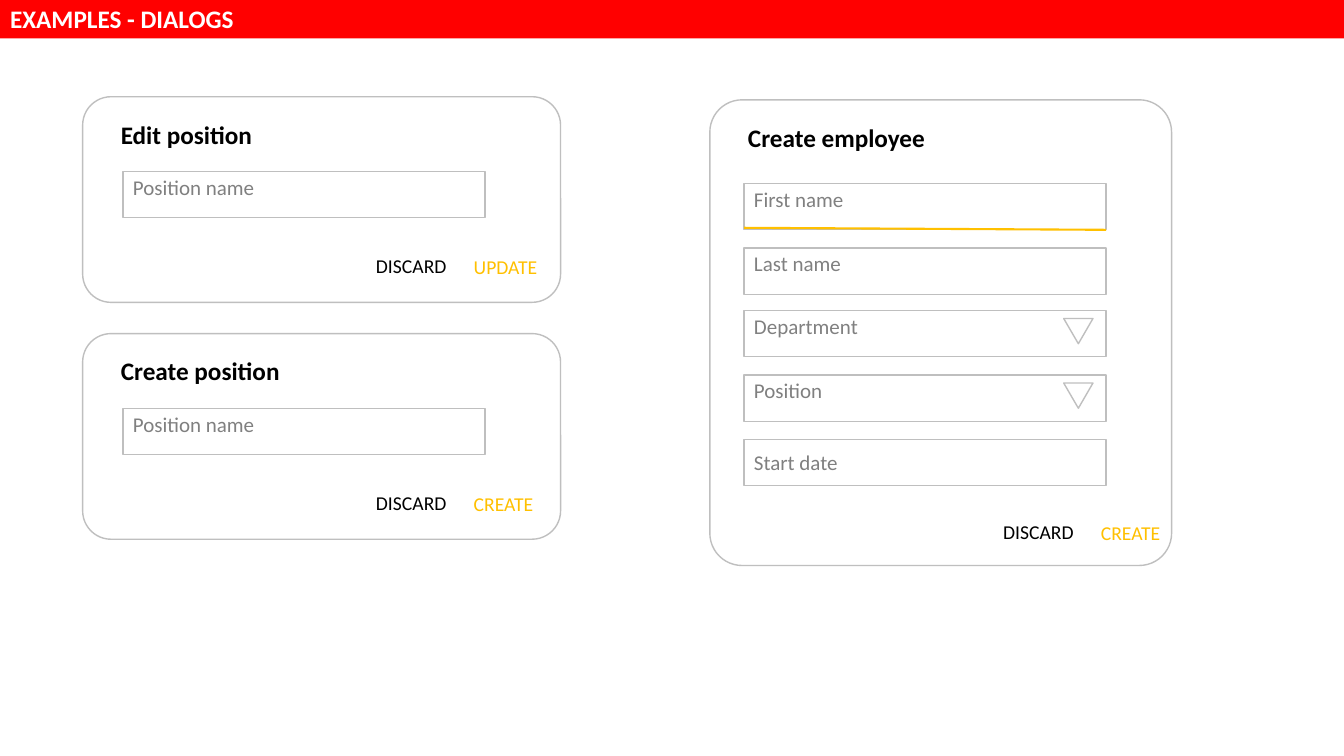
from collections import namedtuple

from lxml import etree
from pptx import Presentation
from pptx.dml.color import RGBColor
from pptx.enum.shapes import MSO_CONNECTOR, MSO_SHAPE
from pptx.enum.text import MSO_ANCHOR, MSO_AUTO_SIZE, PP_ALIGN
from pptx.oxml.ns import qn
from pptx.util import Inches, Pt

RED = RGBColor(0xFF, 0x00, 0x00)
AMBER = RGBColor(0xFF, 0xC0, 0x00)
OUTLINE_GRAY = RGBColor(0xBF, 0xBF, 0xBF)
LABEL_GRAY = RGBColor(0x80, 0x80, 0x80)
BLACK = RGBColor(0x00, 0x00, 0x00)
WHITE = RGBColor(0xFF, 0xFF, 0xFF)

ROUNDED = MSO_SHAPE.ROUNDED_RECTANGLE
RECTANGLE = MSO_SHAPE.RECTANGLE
TRIANGLE = MSO_SHAPE.ISOSCELES_TRIANGLE
STRAIGHT = MSO_CONNECTOR.STRAIGHT
FIT_TEXT, FIXED_SIZE = MSO_AUTO_SIZE.SHAPE_TO_FIT_TEXT, MSO_AUTO_SIZE.NONE
TOP, MIDDLE = MSO_ANCHOR.TOP, MSO_ANCHOR.MIDDLE
LEFT = PP_ALIGN.LEFT

HEADING = {"size": Pt(18), "bold": True}
FIELD_LABEL = {"size": Pt(15), "bold": False}
ACTION = {"size": Pt(14), "bold": False}

FIELD_WIDTH, FIELD_HEIGHT = 3.59, 0.46

# Field tops are measured from the top of the dialog.
Field = namedtuple("Field", "label top label_shift dropdown focused",
                   defaults=(-0.02, False, False))
Dialog = namedtuple(
    "Dialog", "heading confirm confirm_width box radius field_left action_rise fields")

POSITION_FIELDS = [Field("Position name", 0.74)]
EMPLOYEE_FIELDS = [
    Field("First name", 0.83, focused=True),
    Field("Last name", 1.47),
    Field("Department", 2.09, dropdown=True),
    Field("Position", 2.73, dropdown=True),
    Field("Start date", 3.37, label_shift=0.05),
]
DIALOGS = [
    Dialog("Edit position", "UPDATE", 0.84, (0.82, 0.96, 4.74, 2.04), 0.138, 0.4, 0.52,
           POSITION_FIELDS),
    Dialog("Create position", "CREATE", 0.8, (0.82, 3.31, 4.74, 2.04), 0.138, 0.4, 0.52,
           POSITION_FIELDS),
    Dialog("Create employee", "CREATE", 0.8, (7.04, 0.99, 4.58, 4.62), 0.07, 0.34, 0.49,
           EMPLOYEE_FIELDS),
]


def format_font(paragraph, style, color):
    paragraph.alignment = LEFT
    paragraph.font.name = "Calibri"
    for attribute, value in style.items():
        setattr(paragraph.font, attribute, value)
    paragraph.font.color.rgb = color


def add_label(slide, text, box, style, color, wrap=True):
    label = slide.shapes.add_textbox(*map(Inches, box))
    frame = label.text_frame
    frame.text = text
    frame.word_wrap = wrap
    frame.auto_size = FIT_TEXT
    frame.vertical_anchor = TOP
    format_font(frame.paragraphs[0], style, color)


def add_outline(slide, preset, box):
    outline = slide.shapes.add_shape(preset, *map(Inches, box))
    outline.shadow.inherit = False
    outline.fill.background()
    outline.line.color.rgb = OUTLINE_GRAY
    outline.line.width = Pt(1)
    return outline


def add_focus_line(slide, left, top):
    """Underline the active field along its lower edge."""
    ends = (left, top + 0.44, left + FIELD_WIDTH, top + FIELD_HEIGHT)
    underline = slide.shapes.add_connector(STRAIGHT, *map(Inches, ends))
    underline.line.color.rgb = AMBER
    underline.line.width = Pt(1.5)
    etree.SubElement(underline._element.spPr, qn("a:effectLst"))


def add_field(slide, field, left, top):
    add_label(slide, field.label, (left, top + field.label_shift, 3.13, 0.35),
              FIELD_LABEL, LABEL_GRAY)
    add_outline(slide, RECTANGLE, (left, top, FIELD_WIDTH, FIELD_HEIGHT))
    if field.focused:
        add_focus_line(slide, left, top)
    if field.dropdown:
        arrow = add_outline(slide, TRIANGLE, (left + 3.17, top + 0.08, 0.29, 0.25))
        arrow.rotation = 180


def add_dialog(slide, dialog):
    left, top, _, height = dialog.box
    panel = add_outline(slide, ROUNDED, dialog.box)
    panel.adjustments[0] = dialog.radius
    add_label(slide, dialog.heading, (left + 0.28, top + 0.17, 2.52, 0.4), HEADING, BLACK)
    for field in dialog.fields:
        add_field(slide, field, left + dialog.field_left, top + field.top)
    action_top = top + height - dialog.action_rise
    add_label(slide, "DISCARD", (left + 2.81, action_top - 0.01, 0.91, 0.34),
              ACTION, BLACK, wrap=False)
    add_label(slide, dialog.confirm, (left + 3.78, action_top, dialog.confirm_width, 0.34),
              ACTION, AMBER, wrap=False)


def add_banner(slide, text, box):
    banner = slide.shapes.title
    banner.left, banner.top, banner.width, banner.height = map(Inches, box)
    banner.fill.solid()
    banner.fill.fore_color.rgb = RED
    frame = banner.text_frame
    frame.text = text
    frame.word_wrap = True
    frame.auto_size = FIXED_SIZE
    frame.vertical_anchor = MIDDLE
    format_font(frame.paragraphs[0], HEADING, WHITE)


def main():
    deck = Presentation()
    deck.slide_width, deck.slide_height = Inches(13.33), Inches(7.5)
    title_only = deck.slide_layouts[5]
    slide = deck.slides.add_slide(title_only)
    add_banner(slide, "EXAMPLES - DIALOGS", (0, -0.02, 13.33, 0.4))
    for dialog in DIALOGS:
        add_dialog(slide, dialog)
    deck.save("out.pptx")


if __name__ == "__main__":
    main()
